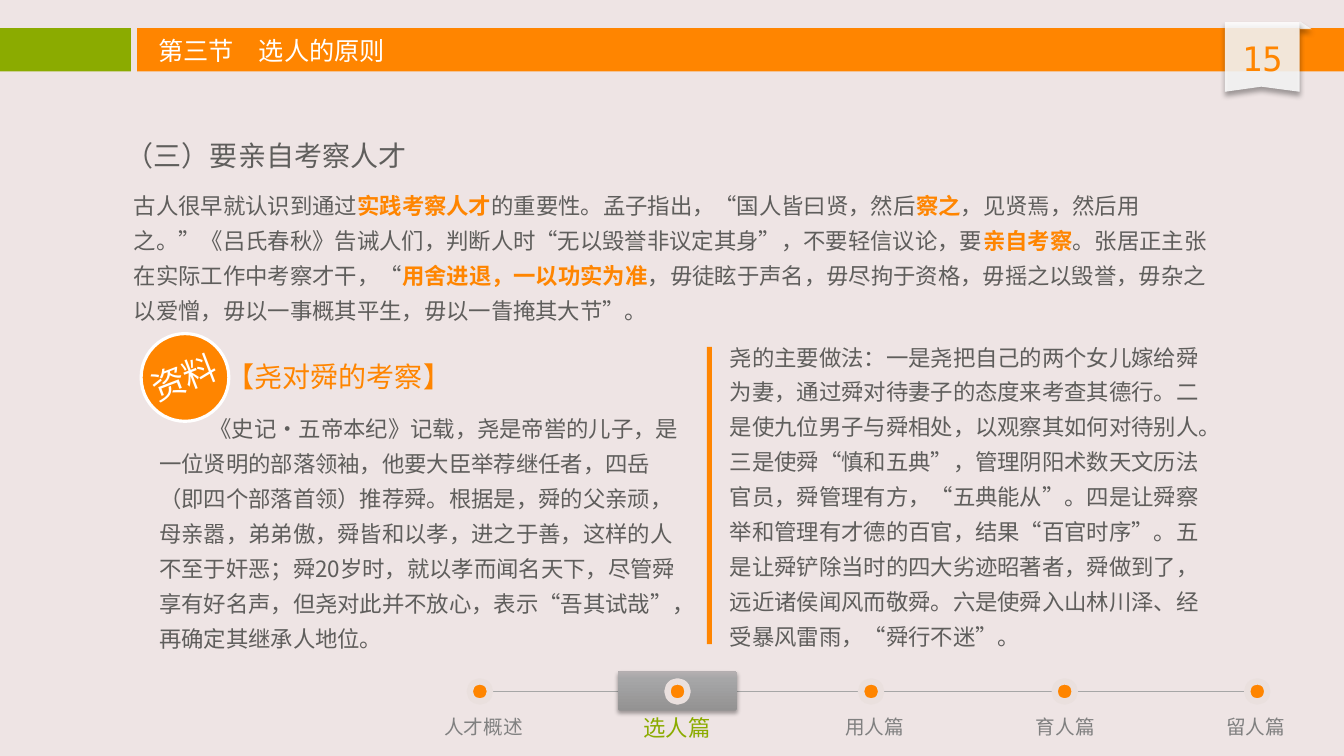
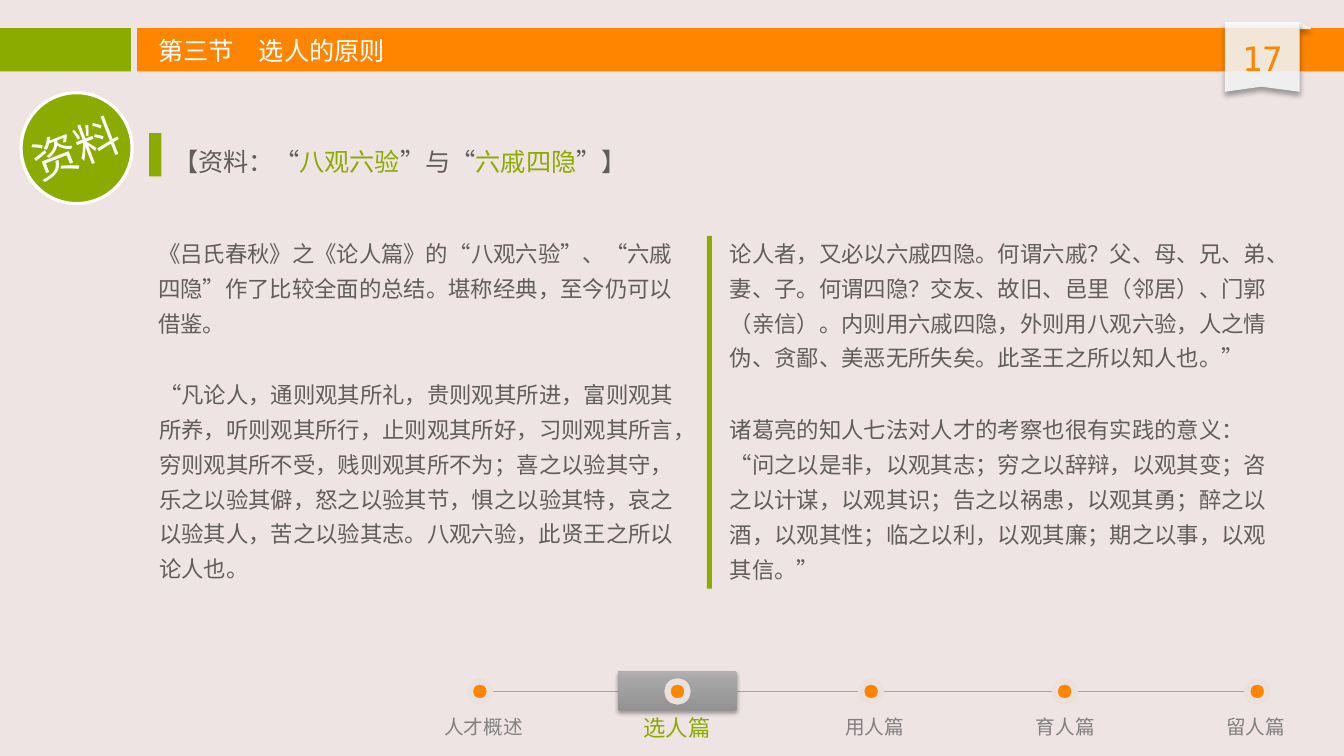
from dataclasses import dataclass
from typing import Optional

from lxml.etree import SubElement
from pptx import Presentation
from pptx.dml.color import RGBColor
from pptx.enum.lang import MSO_LANGUAGE_ID
from pptx.enum.shapes import MSO_CONNECTOR, MSO_SHAPE
from pptx.enum.text import MSO_AUTO_SIZE, PP_ALIGN
from pptx.oxml.ns import qn
from pptx.util import Inches, Pt

ORANGE = "FF8500"
GREEN = "8BAB00"
INK = "5F5E5C"
MUTED = "808080"
WHITE = "FFFFFF"
BACKGROUND = "EEE4E4"
DOT_RING = "EAE0DE"
TRACK = "A6A6A6"
BLACK = "000000"
CJK_FONT = "Noto Sans CJK SC"
NUMBER_FONT = "DejaVu Sans Mono"
BODY_SPACING = 1.3
TRACK_Y = 6.86
DOT = 0.2


@dataclass(frozen=True)
class Box:
    x: float
    y: float
    w: float
    h: float

    def emu(self) -> tuple:
        return tuple(Inches(v) for v in (self.x, self.y, self.w, self.h))


@dataclass(frozen=True)
class Shadow:
    alpha: int
    blur: float
    distance: float


@dataclass(frozen=True)
class Stage:
    label: str
    dot_x: float
    label_box: Box
    current: bool = False


@dataclass(frozen=True)
class Passage:
    text: str
    box: Box
    size: int = 16
    color: str = INK
    accent: str = ORANGE
    accent_bold: bool = False
    indent: float = 0


RIBBON_SHADOW = Shadow(40, 4, 3)
TAB_SHADOW = Shadow(35, 3.1, 1.8)
TAB_STOPS = ((0, "939292"), (80, "A6A6A7"), (100, "B6B0B2"))
RIBBON = ((12.15, 0.91), (12.15, 0.22), (12.89, 0.22), (12.89, 0.91), (12.51, 0.86))

STAGES = (
    Stage("人才概述", 4.66, Box(4.3, 7.04, 0.99, 0.34)),
    Stage("选人篇", 6.62, Box(6.28, 7.04, 0.87, 0.37), current=True),
    Stage("用人篇", 8.54, Box(8.28, 7.04, 0.79, 0.34)),
    Stage("育人篇", 10.46, Box(10.17, 7.04, 0.79, 0.34)),
    Stage("留人篇", 12.37, Box(12.06, 7.04, 0.79, 0.34)),
)

INSPECTION = (
    Passage("（三）要亲自考察人才", Box(1.15, 1.23, 5.04, 0.54), size=20),
    Passage(
        "古人很早就认识到通过|实践考察人才|的重要性。孟子指出，“国人皆曰贤，然后|察之|"
        "，见贤焉，然后用之。”《吕氏春秋》告诫人们，判断人时“无以毁誉非议定其身”，"
        "不要轻信议论，要|亲自考察|。张居正主张在实际工作中考察才干，“"
        "|用舍进退，一以功实为准|，毋徒眩于声名，毋尽拘于资格，毋摇之以毁誉，"
        "毋杂之以爱憎，毋以一事概其平生，毋以一眚掩其大节”。",
        Box(1.23, 1.78, 10.87, 1.5),
        accent_bold=True,
    ),
    Passage(
        "《史记•五帝本纪》记载，尧是帝喾的儿子，是一位贤明的部落领袖，他要大臣举荐继任者，"
        "四岳（即四个部落首领）推荐舜。根据是，舜的父亲顽，母亲嚣，弟弟傲，舜皆和以孝，"
        "进之于善，这样的人不至于奸恶；舜20岁时，就以孝而闻名天下，尽管舜享有好名声，"
        "但尧对此并不放心，表示“吾其试哉”，再确定其继承人地位。",
        Box(1.48, 3.99, 5.5, 2.55),
        indent=0.5,
    ),
    Passage(
        "尧的主要做法：一是尧把自己的两个女儿嫁给舜为妻，通过舜对待妻子的态度来考查其德行。"
        "二是使九位男子与舜相处，以观察其如何对待别人。三是使舜“慎和五典”，"
        "管理阴阳术数天文历法官员，舜管理有方，“五典能从”。四是让舜察举和管理有才德的百官，"
        "结果“百官时序”。五是让舜铲除当时的四大劣迹昭著者，舜做到了，远近诸侯闻风而敬舜。"
        "六是使舜入山林川泽、经受暴风雷雨，“舜行不迷”。",
        Box(7.14, 3.28, 4.96, 3.25),
    ),
    Passage("【尧对舜的考察】", Box(2.15, 3.42, 5.04, 0.54), size=20, color=ORANGE),
)

EIGHT_VIEWS = (
    Passage(
        "【资料：“|八观六验|”与“|六戚四隐|”】",
        Box(1.62, 1.31, 5.23, 0.49),
        size=18,
        accent=GREEN,
    ),
    Passage(
        "《吕氏春秋》之《论人篇》的“八观六验”、“六戚四隐”作了比较全面的总结。"
        "堪称经典，至今仍可以借鉴。",
        Box(1.47, 2.25, 5.51, 1.15),
    ),
    Passage(
        "“凡论人，通则观其所礼，贵则观其所进，富则观其所养，听则观其所行，止则观其所好，"
        "习则观其所言，穷则观其所不受，贱则观其所不为；喜之以验其守，乐之以验其僻，"
        "怒之以验其节，惧之以验其特，哀之以验其人，苦之以验其志。八观六验，"
        "此贤王之所以论人也。",
        Box(1.48, 3.65, 5.5, 2.2),
    ),
    Passage(
        "论人者，又必以六戚四隐。何谓六戚？父、母、兄、弟、妻、子。何谓四隐？"
        "交友、故旧、邑里（邻居）、门郭（亲信）。内则用六戚四隐，外则用八观六验，"
        "人之情伪、贪鄙、美恶无所失矣。此圣王之所以知人也。”",
        Box(7.14, 2.25, 5.67, 1.5),
    ),
    Passage(
        "诸葛亮的知人七法对人才的考察也很有实践的意义：“问之以是非，以观其志；"
        "穷之以辞辩，以观其变；咨之以计谋，以观其识；告之以祸患，以观其勇；"
        "醉之以酒，以观其性；临之以利，以观其廉；期之以事，以观其信。”",
        Box(7.14, 4, 5.67, 1.85),
    ),
)


def rgb(color: str) -> RGBColor:
    return RGBColor.from_string(color)


def style_shape(sp, fill: str, *, line: Optional[str] = None, width: float = 0,
                alpha: int = 100, shadow: Optional[Shadow] = None) -> None:
    sp.fill.solid()
    sp.fill.fore_color.rgb = rgb(fill)
    sp_pr = sp._element.spPr
    if alpha < 100:
        color = sp_pr.find(f"{qn('a:solidFill')}/{qn('a:srgbClr')}")
        SubElement(color, qn("a:alpha"), val=str(alpha * 1000))
    if line:
        sp.line.color.rgb = rgb(line)
        sp.line.width = Pt(width)
    else:
        sp.line.fill.background()
    sp.shadow.inherit = False
    if shadow:
        outer = SubElement(
            sp_pr.find(qn("a:effectLst")), qn("a:outerShdw"),
            blurRad=str(Pt(shadow.blur)), dist=str(Pt(shadow.distance)),
            dir="5400000", algn="t", rotWithShape="0",
        )
        color = SubElement(outer, qn("a:srgbClr"), val=BLACK)
        SubElement(color, qn("a:alpha"), val=str(shadow.alpha * 1000))


def add_shape(shapes, kind: MSO_SHAPE, box: Box, fill: str, **style):
    sp = shapes.add_shape(kind, *box.emu())
    style_shape(sp, fill, **style)
    return sp


def add_text(shapes, text: str, box: Box, *, size: int, color: str,
             accent: str = ORANGE, accent_bold: bool = False, font: str = CJK_FONT,
             align: PP_ALIGN = PP_ALIGN.LEFT, spacing: float = 1.0,
             indent: float = 0, wrap: bool = True, rotation: float = 0):
    sp = shapes.add_textbox(*box.emu())
    sp.rotation = rotation
    tf = sp.text_frame
    tf.word_wrap = wrap
    tf.auto_size = MSO_AUTO_SIZE.SHAPE_TO_FIT_TEXT
    p = tf.paragraphs[0]
    p.alignment = align
    p.line_spacing = spacing
    if indent:
        p._p.get_or_add_pPr().set("indent", str(Inches(indent)))
    for i, part in enumerate(text.split("|")):
        accented = i % 2 == 1
        r = p.add_run()
        r.text = part
        r.font.size = Pt(size)
        r.font.bold = accented and accent_bold
        r.font.color.rgb = rgb(accent if accented else color)
        r.font.name = font
        r.font.language_id = MSO_LANGUAGE_ID.SIMPLIFIED_CHINESE
        SubElement(r._r.get_or_add_rPr(), qn("a:ea"), typeface=font)
    return sp


def add_passages(shapes, passages: tuple) -> None:
    for item in passages:
        add_text(shapes, item.text, item.box, size=item.size, color=item.color,
                 accent=item.accent, accent_bold=item.accent_bold,
                 indent=item.indent, spacing=BODY_SPACING)


def add_badge(shapes, circle: Box, label: Box, size: int, fill: str) -> None:
    group = shapes.add_group_shape()
    add_shape(group.shapes, MSO_SHAPE.OVAL, circle, fill, line=WHITE, width=2.25)
    add_text(group.shapes, "资料", label, size=size, color=WHITE, wrap=False,
             rotation=338.9)


def add_ribbon(shapes, number: int) -> None:
    add_shape(shapes, MSO_SHAPE.RIGHT_TRIANGLE, Box(12.89, 0.21, 0.12, 0.08),
              "F8F8F8", alpha=85, shadow=RIBBON_SHADOW)
    points = [(Inches(x), Inches(y)) for x, y in RIBBON]
    builder = shapes.build_freeform(*points[0])
    builder.add_line_segments(points[1:], close=True)
    style_shape(builder.convert_to_shape(), WHITE, alpha=85, shadow=RIBBON_SHADOW)
    add_text(shapes, str(number), Box(12.15, 0.33, 0.74, 0.5), size=24,
             color=ORANGE, font=NUMBER_FONT, align=PP_ALIGN.CENTER)


def add_current_tab(shapes) -> None:
    sp = add_shape(shapes, MSO_SHAPE.ROUNDED_RECTANGLE, Box(6.13, 6.66, 1.18, 0.39),
                   TRACK, shadow=TAB_SHADOW)
    sp.adjustments[0] = 0.05
    sp.fill.gradient()
    sp.fill.gradient_angle = 90
    stops = sp._element.spPr.find(f"{qn('a:gradFill')}/{qn('a:gsLst')}")
    stops.clear()
    for position, color in TAB_STOPS:
        stop = SubElement(stops, qn("a:gs"), pos=str(position * 1000))
        SubElement(stop, qn("a:srgbClr"), val=color)


def add_progress(shapes) -> None:
    track = shapes.add_connector(MSO_CONNECTOR.STRAIGHT, Inches(4.82), Inches(TRACK_Y),
                                 Inches(12.45), Inches(TRACK_Y))
    track.line.color.rgb = rgb(TRACK)
    track.line.width = Pt(1)
    SubElement(track._element.spPr, qn("a:effectLst"))
    for stage in STAGES:
        if stage.current:
            add_current_tab(shapes)
        add_shape(shapes, MSO_SHAPE.OVAL,
                  Box(stage.dot_x, TRACK_Y - DOT / 2, DOT, DOT),
                  ORANGE, line=DOT_RING, width=4.5)
        add_text(shapes, stage.label, stage.label_box, wrap=False,
                 size=16 if stage.current else 14,
                 color=GREEN if stage.current else MUTED, align=PP_ALIGN.CENTER)


def add_slide(prs, number: int):
    s = prs.slides.add_slide(prs.slide_layouts[6])
    s.background.fill.solid()
    s.background.fill.fore_color.rgb = rgb(BACKGROUND)
    add_shape(s.shapes, MSO_SHAPE.RECTANGLE, Box(0, 0.28, 1.3, 0.43), GREEN)
    add_shape(s.shapes, MSO_SHAPE.RECTANGLE, Box(1.36, 0.28, 11.97, 0.43), ORANGE)
    add_ribbon(s.shapes, number)
    add_progress(s.shapes)
    add_text(s.shapes, "第三节　选人的原则", Box(1.47, 0.3, 5.04, 0.4), size=18,
             color=WHITE)
    return s


def main() -> None:
    prs = Presentation()
    prs.slide_width = Inches(13.33)
    prs.slide_height = Inches(7.5)

    shapes = add_slide(prs, 15).shapes
    add_passages(shapes, INSPECTION)
    add_badge(shapes, Box(1.4, 3.31, 0.87, 0.87), Box(1.39, 3.49, 0.88, 0.5), 24, ORANGE)
    add_shape(shapes, MSO_SHAPE.RECTANGLE, Box(7.01, 3.44, 0.05, 2.95), ORANGE)

    shapes = add_slide(prs, 17).shapes
    add_passages(shapes, EIGHT_VIEWS)
    add_badge(shapes, Box(0.21, 0.92, 1.1, 1.1), Box(0.21, 1.15, 1.1, 0.64), 32, GREEN)
    add_shape(shapes, MSO_SHAPE.RECTANGLE, Box(1.48, 1.32, 0.12, 0.43), GREEN)
    add_shape(shapes, MSO_SHAPE.RECTANGLE, Box(7.01, 2.34, 0.05, 3.5), GREEN)

    prs.save("out.pptx")


if __name__ == "__main__":
    main()
